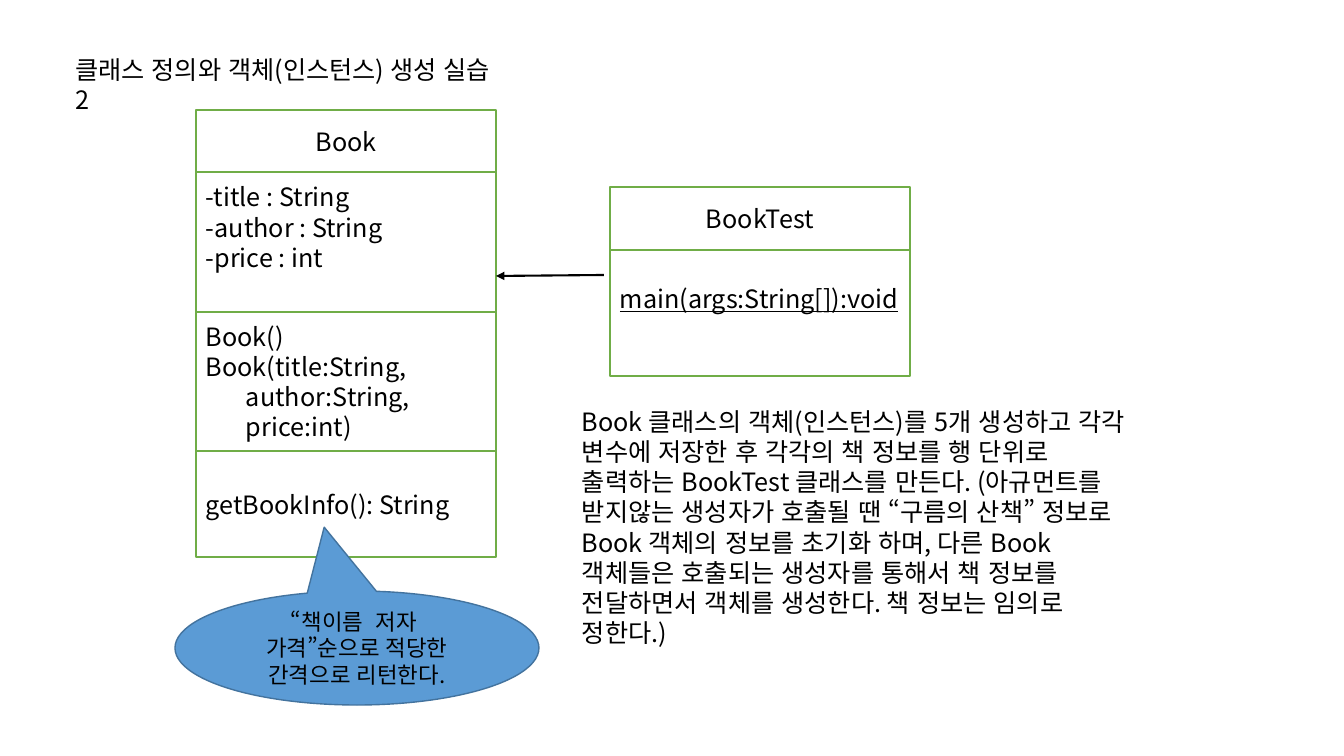
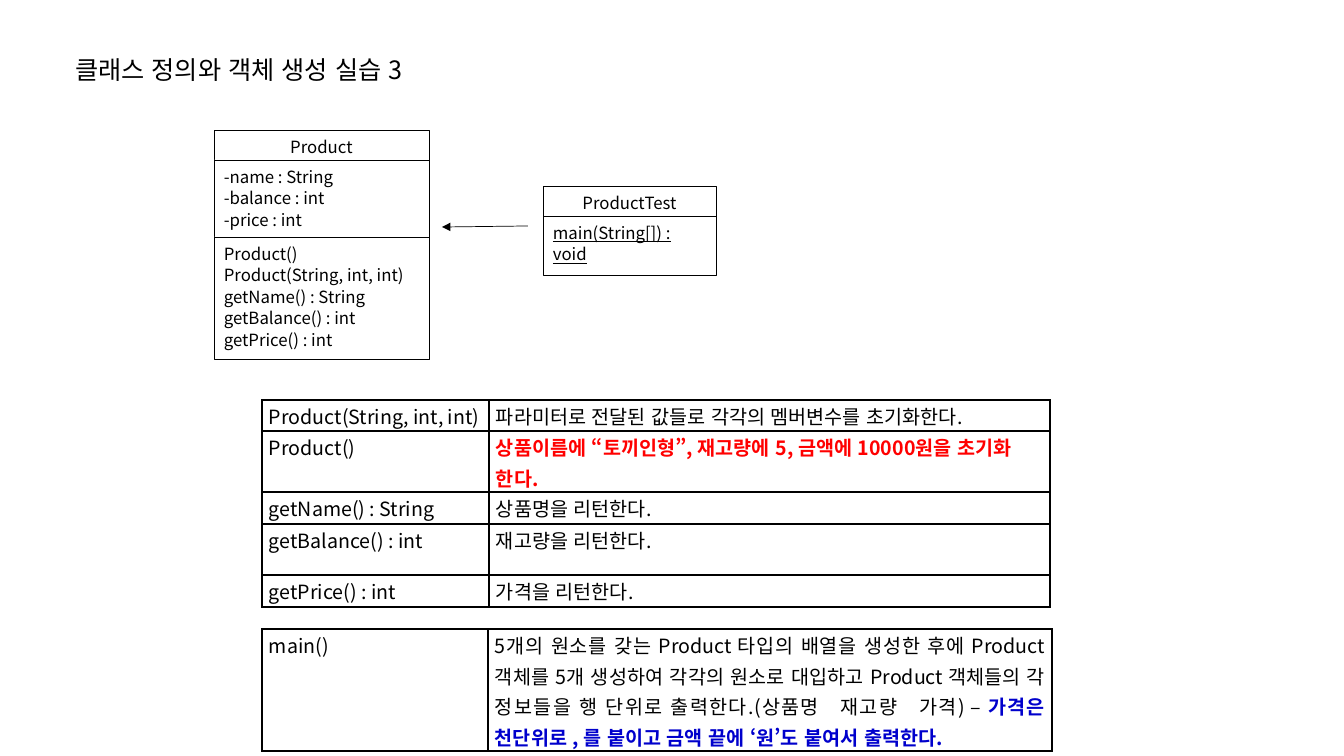
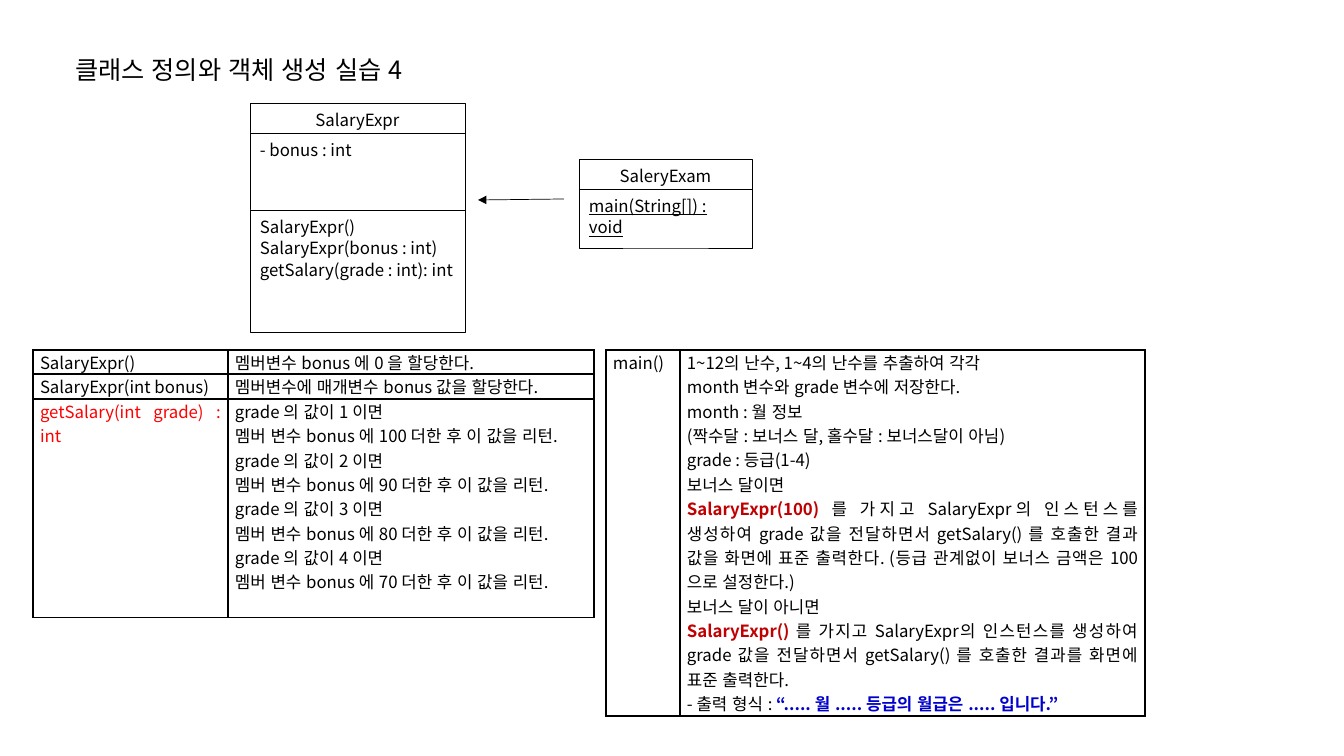
"""Build three slides of class definition and object creation exercises."""
from lxml.etree import SubElement
from pptx import Presentation
from pptx.dml.color import RGBColor
from pptx.enum.lang import MSO_LANGUAGE_ID as Lang
from pptx.enum.shapes import MSO_CONNECTOR as Link, MSO_SHAPE as Shape
from pptx.enum.text import MSO_ANCHOR as Anchor, MSO_AUTO_SIZE as Fit, PP_ALIGN as Align
from pptx.oxml.ns import qn
from pptx.util import Pt

FONT = "Noto Sans CJK KR"
BLACK = RGBColor(0x00, 0x00, 0x00)
WHITE = RGBColor(0xFF, 0xFF, 0xFF)
GREEN = RGBColor(0x70, 0xAD, 0x47)
BLUE = RGBColor(0x5B, 0x9B, 0xD5)
NAVY = RGBColor(0x43, 0x73, 0x9E)
RED = RGBColor(0xFF, 0x00, 0x00)
DARK_RED = RGBColor(0xC0, 0x00, 0x00)
INK = RGBColor(0x00, 0x00, 0xCC)
SCALE = 914400 / 100.8


def px(length):
    return round(length * SCALE)


def write(frame, lines, size=18, align=Align.LEFT, spacing=1.0, underline=False, indents=()):
    frame.word_wrap = True
    for number, line in enumerate(lines):
        paragraph = frame.paragraphs[0] if number == 0 else frame.add_paragraph()
        paragraph.alignment = align
        paragraph.line_spacing = spacing
        if number in indents:
            paragraph._p.get_or_add_pPr().set("marL", str(px(40)))
        for words, color, bold in [(line, BLACK, False)] if isinstance(line, str) else line:
            run = paragraph.add_run()
            run.text = words
            font = run.font
            font.name, font.size, font.bold = FONT, Pt(size), bold
            font.underline = underline
            font.color.rgb = color
            font.language_id = Lang.KOREAN
            SubElement(run._r.get_or_add_rPr(), qn("a:ea"), typeface=FONT)


class Deck:
    def __init__(self):
        self.show = Presentation()
        self.show.slide_width, self.show.slide_height = px(1344), px(756)
        self.slide = None

    def add_slide(self, title, width=402):
        self.slide = self.show.slides.add_slide(self.show.slide_layouts[5])
        heading = self.slide.shapes.title
        heading.left, heading.top, heading.width, heading.height = map(px, (65, 49, width, 40))
        frame = heading.text_frame
        frame.vertical_anchor = Anchor.TOP
        frame.auto_size = Fit.SHAPE_TO_FIT_TEXT
        write(frame, [title])

    def note(self, x, y, w, h, text):
        frame = self.slide.shapes.add_textbox(*map(px, (x, y, w, h))).text_frame
        frame.auto_size = Fit.SHAPE_TO_FIT_TEXT
        write(frame, [text])

    def box(self, x, y, w, h, lines, kind=Shape.RECTANGLE, fill=WHITE, line=BLACK,
            weight=0.5, anchor=Anchor.TOP, bottom=5, **style):
        box = self.slide.shapes.add_shape(kind, *map(px, (x, y, w, h)))
        box.shadow.inherit = False
        box.fill.solid()
        box.fill.fore_color.rgb = fill
        box.line.color.rgb = line
        box.line.width = Pt(weight)
        box.text_frame.vertical_anchor = anchor
        box.text_frame.margin_bottom = px(bottom)
        write(box.text_frame, lines, **style)
        return box

    def uml(self, x, y, w, sections, **style):
        for number, (height, lines, extra) in enumerate(sections):
            align = Align.CENTER if number == 0 else Align.LEFT
            self.box(x, y, w, height, lines, align=align, **style, **extra)
            y += height

    def arrow(self, x1, y1, x2, y2, weight=0.5):
        arrow = self.slide.shapes.add_connector(Link.STRAIGHT, *map(px, (x1, y1, x2, y2)))
        arrow.line.color.rgb = BLACK
        arrow.line.width = Pt(weight)
        properties = arrow._element.spPr
        SubElement(properties.find(qn("a:ln")), qn("a:tailEnd"), type="triangle")
        SubElement(properties, qn("a:effectLst"))

    def class_pair(self, x, y, name, fields, methods, test_name):
        style = dict(size=12, spacing=1.07)
        self.uml(x, y, 215, [(30, [name], {}), (77, fields, {}), (122, methods, {})], **style)
        self.arrow(x + 314, y + 96, x + 228, y + 97)
        self.uml(x + 329, y + 56, 173, [
            (30, [test_name], {}),
            (59, ["main(String[]) : void"], {"underline": True}),
        ], **style)

    def table(self, x, y, widths, heights, rows, **style):
        table = self.slide.shapes.add_table(
            len(rows), len(widths), *map(px, (x, y, sum(widths), sum(heights)))).table
        table.first_row = table.horz_banding = False
        for column, width in zip(table.columns, widths):
            column.width = px(width)
        for row, height, contents in zip(table.rows, heights, rows):
            row.height = px(height)
            for cell, lines in zip(row.cells, contents):
                cell.margin_left = cell.margin_right = px(7)
                cell.margin_top = cell.margin_bottom = 0
                self.border(cell)
                cell.fill.background()
                write(cell.text_frame, lines, **style)

    def border(self, cell):
        for side in ("a:lnL", "a:lnR", "a:lnT", "a:lnB"):
            edge = SubElement(cell._tc.get_or_add_tcPr(), qn(side), w=str(Pt(1)))
            SubElement(SubElement(edge, qn("a:solidFill")), qn("a:srgbClr"), val=str(BLACK))


def book_slide(deck):
    deck.add_slide("클래스 정의와 객체(인스턴스) 생성 실습 2", width=446)
    deck.note(572, 401, 577, 194, (
        "Book 클래스의 객체(인스턴스)를 5개 생성하고 각각 변수에 저장한 후 각각의 책 정보를 "
        "행 단위로 출력하는 BookTest 클래스를 만든다. (아규먼트를 받지않는 생성자가 호출될 땐 "
        "“구름의 산책” 정보로 Book 객체의 정보를 초기화 하며, 다른 Book 객체들은 호출되는 "
        "생성자를 통해서 책 정보를 전달하면서 객체를 생성한다. 책 정보는 임의로 정한다.)"))
    style = dict(line=GREEN, weight=1, anchor=Anchor.MIDDLE)
    deck.uml(196, 110, 300, [
        (62, ["Book"], {}),
        (140, ["-title : String", "-author : String", "-price : int"], {"bottom": 35}),
        (139, ["Book()", "Book(title:String,", "author:String,", "price:int)"],
         {"indents": (2, 3)}),
        (106, ["getBookInfo(): String"], {}),
    ], **style)
    deck.uml(610, 187, 300, [
        (63, ["BookTest"], {}),
        (126, ["main(args:String[]):void"], {"underline": True, "bottom": 35}),
    ], **style)
    deck.arrow(604, 275, 496, 276, weight=1.5)
    callout = deck.box(
        175, 591, 364, 114, ["“책이름  저자  가격”순으로 적당한 간격으로 리턴한다."],
        kind=Shape.OVAL_CALLOUT, fill=BLUE, line=NAVY, weight=1, anchor=Anchor.MIDDLE,
        size=16, align=Align.CENTER)
    callout.adjustments[0], callout.adjustments[1] = -0.09, -1.06


def product_slide(deck):
    deck.add_slide("클래스 정의와 객체 생성 실습 3")
    getters = ["getName() : String", "getBalance() : int", "getPrice() : int"]
    constructor = "Product(String, int, int)"
    deck.class_pair(214, 130, "Product", ["-name : String", "-balance : int", "-price : int"],
                    ["Product()", constructor, *getters], "ProductTest")
    initial = "상품이름에 “토끼인형”, 재고량에 5, 금액에 10000원을 초기화 한다."
    results = ["상품명을 리턴한다.", "재고량을 리턴한다.", "가격을 리턴한다."]
    deck.table(262, 400, (227, 561), (31, 61, 32, 51, 32), [
        ([constructor], ["파라미터로 전달된 값들로 각각의 멤버변수를 초기화한다."]),
        (["Product()"], [[(initial, RED, True)]]),
        *(([getter], [result]) for getter, result in zip(getters, results)),
    ], size=14, spacing=1.07)
    task = ("5개의 원소를 갖는 Product 타입의 배열을 생성한 후에 Product 객체를 5개 생성하여 "
            "각각의 원소로 대입하고 Product 객체들의 각 정보들을 행 단위로 출력한다."
            "(상품명   재고량   가격) – ")
    price_format = "가격은 천단위로 , 를 붙이고 금액 끝에 ‘원’도 붙여서 출력한다."
    deck.table(262, 629, (226, 564), (122,), [
        (["main()"], [[(task, BLACK, False), (price_format, INK, True)]]),
    ], size=14, spacing=1.07, align=Align.JUSTIFY)


def salary_slide(deck):
    deck.add_slide("클래스 정의와 객체 생성 실습 4")
    style = dict(size=12, align=Align.JUSTIFY)
    grades = []
    for grade, bonus in enumerate((100, 90, 80, 70), 1):
        grades += [f"grade 의 값이 {grade} 이면",
                   f"멤버 변수 bonus 에 {bonus} 더한 후 이 값을 리턴."]
    deck.table(33, 350, (195, 366), (24, 25, 219), [
        (["SalaryExpr()"], ["멤버변수 bonus 에 0 을 할당한다."]),
        (["SalaryExpr(int bonus)"], ["멤버변수에 매개변수 bonus 값을 할당한다."]),
        ([[("getSalary(int grade) : int", RED, False)]], grades),
    ], **style)
    call = ("를 가지고 SalaryExpr의 인스턴스를 생성하여 grade 값을 전달하면서 "
            "getSalary() 를 호출한 ")
    with_bonus = (call + "결과 값을 화면에 표준 출력한다. "
                  "(등급 관계없이 보너스 금액은 100 으로 설정한다.)")
    without_bonus = call + "결과를 화면에 표준 출력한다."
    output = "“..... 월 ..... 등급의 월급은 ..... 입니다.”"
    deck.table(606, 350, (74, 465), (366,), [
        (["main()"], [
            "1~12의 난수, 1~4의 난수를 추출하여 각각",
            "month 변수와 grade 변수에 저장한다.",
            "month : 월 정보",
            "(짝수달 : 보너스 달, 홀수달 : 보너스달이 아님)",
            "grade : 등급(1-4)",
            "보너스 달이면",
            [("SalaryExpr(100) ", DARK_RED, True), (with_bonus, BLACK, False)],
            "보너스 달이 아니면",
            [("SalaryExpr() ", DARK_RED, True), (without_bonus, BLACK, False)],
            [("- 출력 형식 : ", BLACK, False), (output, INK, True)],
        ]),
    ], **style)
    deck.class_pair(250, 103, "SalaryExpr", ["- bonus : int"],
                    ["SalaryExpr()", "SalaryExpr(bonus : int)", "getSalary(grade : int): int"],
                    "SaleryExam")


def main():
    deck = Deck()
    book_slide(deck)
    product_slide(deck)
    salary_slide(deck)
    deck.show.save("out.pptx")


if __name__ == "__main__":
    main()
